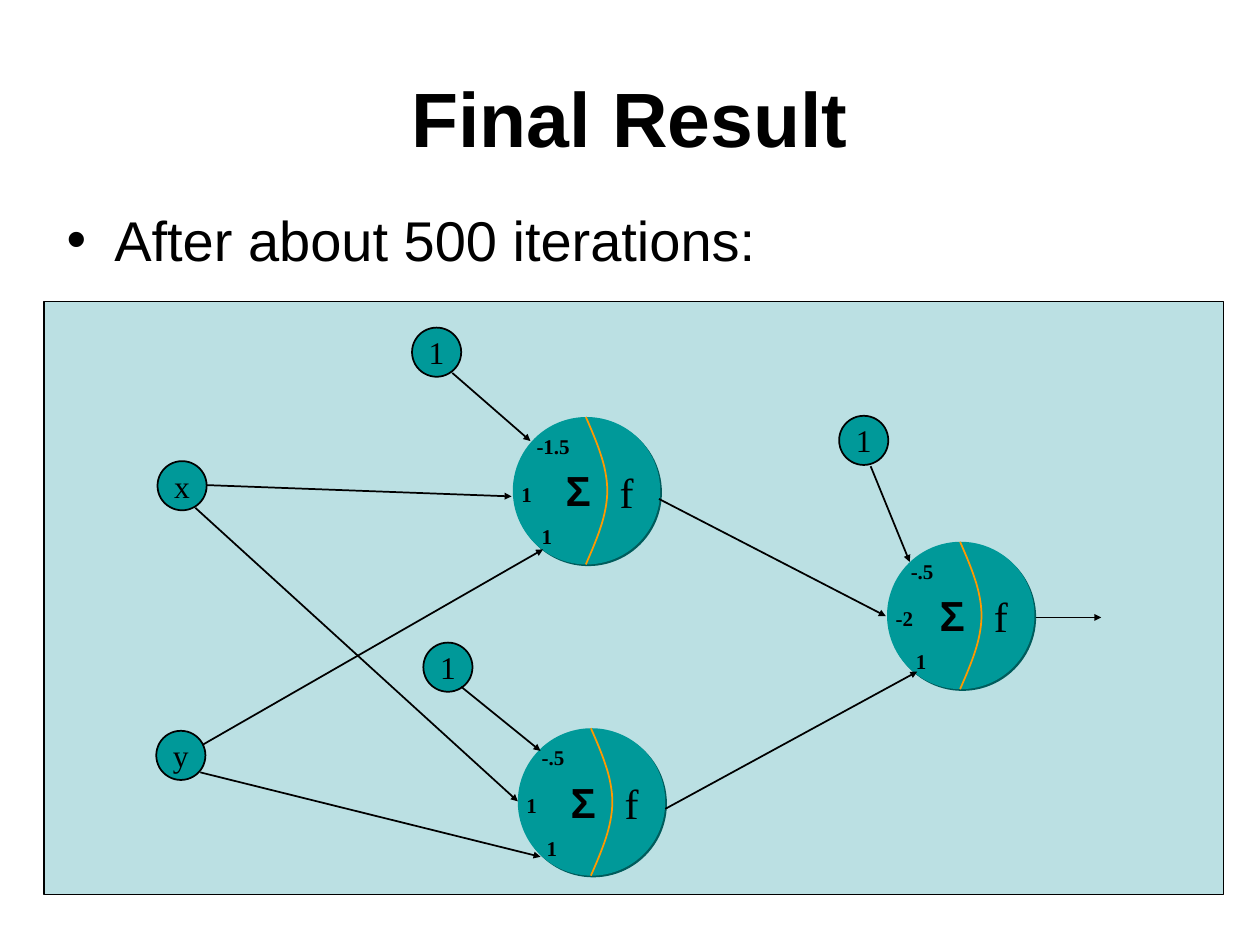
from dataclasses import dataclass

from lxml import etree
from pptx import Presentation
from pptx.dml.color import RGBColor
from pptx.enum.shapes import MSO_CONNECTOR, MSO_SHAPE
from pptx.enum.text import MSO_ANCHOR, MSO_AUTO_SIZE, PP_ALIGN
from pptx.oxml.ns import qn
from pptx.shapes.autoshape import Shape
from pptx.slide import Slide
from pptx.util import Inches, Pt

BLACK = RGBColor(0x00, 0x00, 0x00)
TEAL = RGBColor(0x00, 0x99, 0x99)
SHADOW = RGBColor(0x00, 0x5C, 0x5C)
ORANGE = RGBColor(0xFF, 0x99, 0x00)
PALE_BLUE = RGBColor(0xBB, 0xE0, 0xE3)

RECTANGLE = MSO_SHAPE.RECTANGLE
OVAL = MSO_SHAPE.OVAL
STRAIGHT = MSO_CONNECTOR.STRAIGHT
LEFT, CENTER = PP_ALIGN.LEFT, PP_ALIGN.CENTER
TOP, MIDDLE = MSO_ANCHOR.TOP, MSO_ANCHOR.MIDDLE
FIT_SHAPE = MSO_AUTO_SIZE.SHAPE_TO_FIT_TEXT

TITLE_FONT = {"name": "Arial", "size": Pt(44), "bold": True}
BODY_FONT = {"name": "Arial", "size": Pt(32)}
INPUT_FONT = {"name": "Times New Roman", "size": Pt(18)}
WEIGHT_FONT = {"name": "Times New Roman", "size": Pt(12), "bold": True}
SUM_FONT = {"name": "Arial", "size": Pt(24), "bold": True}
FUNCTION_FONT = {"name": "Times New Roman", "size": Pt(24)}

INPUT_SIZE = 0.39
NEURON_SIZE = 1.17
ARC_DEPTH = 0.17
ARC_STEPS = 16
WEIGHT_WIDTHS = {"1": 0.29, "-2": 0.35, "-.5": 0.39, "-1.5": 0.48}


@dataclass(frozen=True)
class InputNode:
    left: float
    top: float
    text: str


@dataclass(frozen=True)
class Neuron:
    left: float
    top: float
    bias: str
    first_weight: str
    second_weight: str


@dataclass(frozen=True)
class Arrow:
    x1: float
    y1: float
    x2: float
    y2: float


INPUTS = [
    InputNode(1.25, 3.66, "x"),
    InputNode(1.24, 5.8, "y"),
    InputNode(3.27, 2.6, "1"),
    InputNode(3.36, 5.1, "1"),
    InputNode(6.66, 3.3, "1"),
]
NEURONS = [
    Neuron(4.07, 3.31, "-1.5", "1", "1"),
    Neuron(4.11, 5.78, "-.5", "1", "1"),
    Neuron(7.04, 4.3, "-.5", "-2", "1"),
]
ARROWS = [
    Arrow(3.66, 5.45, 4.29, 5.96),
    Arrow(3.59, 2.96, 4.21, 3.5),
    Arrow(1.64, 3.85, 4.06, 3.94),
    Arrow(1.55, 4.03, 4.11, 6.36),
    Arrow(1.61, 5.91, 4.31, 4.36),
    Arrow(1.59, 6.13, 4.29, 6.8),
    Arrow(6.91, 3.7, 7.22, 4.46),
    Arrow(5.23, 3.96, 7.03, 4.89),
    Arrow(5.28, 6.42, 7.28, 5.33),
    Arrow(8.22, 4.9, 8.74, 4.9),
]


def write(shape: Shape, text: str, font: dict, align=LEFT, anchor=TOP, wrap=False) -> None:
    frame = shape.text_frame
    frame.word_wrap = wrap
    frame.vertical_anchor = anchor
    paragraph = frame.paragraphs[0]
    paragraph.alignment = align
    run = paragraph.add_run()
    run.text = text
    for attribute, value in font.items():
        setattr(run.font, attribute, value)
    run.font.color.rgb = BLACK


def add_label(slide: Slide, left: float, top: float, width: float, height: float,
              text: str, font: dict) -> None:
    label = slide.shapes.add_textbox(Inches(left), Inches(top), Inches(width), Inches(height))
    write(label, text, font)
    label.text_frame.auto_size = FIT_SHAPE


def add_filled(slide: Slide, kind, left: float, top: float, width: float, height: float,
               color: RGBColor, line_width: float) -> Shape:
    shape = slide.shapes.add_shape(kind, Inches(left), Inches(top), Inches(width), Inches(height))
    shape.shadow.inherit = False
    shape.fill.solid()
    shape.fill.fore_color.rgb = color
    if line_width:
        shape.line.color.rgb = BLACK
        shape.line.width = Pt(line_width)
    else:
        shape.line.fill.background()
    return shape


def add_input(slide: Slide, node: InputNode) -> None:
    circle = add_filled(slide, OVAL, node.left, node.top, INPUT_SIZE, INPUT_SIZE, TEAL, 1)
    write(circle, node.text, INPUT_FONT, CENTER, MIDDLE)


def add_arc(slide: Slide, left: float, top: float) -> None:
    half = NEURON_SIZE / 2
    points = []
    for step in range(-ARC_STEPS, ARC_STEPS + 1):
        t = 1 - abs(step) / ARC_STEPS
        depth = ARC_DEPTH * (1.5 * t * (1 - t) ** 2 + 3 * t ** 2 * (1 - t) + t ** 3)
        points.append((Inches(left + depth), Inches(top + half + half * step / ARC_STEPS)))
    builder = slide.shapes.build_freeform(*points[0])
    builder.add_line_segments(points[1:], close=False)
    arc = builder.convert_to_shape()
    arc.shadow.inherit = False
    arc.fill.background()
    arc.line.color.rgb = ORANGE
    arc.line.width = Pt(1)


def add_neuron(slide: Slide, neuron: Neuron) -> None:
    x, y = neuron.left, neuron.top
    body = add_filled(slide, OVAL, x, y, NEURON_SIZE, NEURON_SIZE, TEAL, 0)
    effects = body._element.spPr.find(qn("a:effectLst"))
    shadow = etree.SubElement(effects, qn("a:outerShdw"), dist=str(Pt(1.4)),
                              dir="2700000", algn="ctr", rotWithShape="0")
    etree.SubElement(shadow, qn("a:srgbClr"), val=str(SHADOW))
    add_arc(slide, x + 0.58, y)
    add_label(slide, x + 0.75, y + 0.34, 0.31, 0.5, "f", FUNCTION_FONT)
    add_label(slide, x + 0.32, y + 0.33, 0.39, 0.5, "Σ", SUM_FONT)
    weights = [(0.09, 0.08, neuron.bias), (-0.03, 0.46, neuron.first_weight),
               (0.13, 0.8, neuron.second_weight)]
    for dx, dy, weight in weights:
        add_label(slide, x + dx, y + dy, WEIGHT_WIDTHS[weight], 0.3, weight, WEIGHT_FONT)


def add_arrow(slide: Slide, arrow: Arrow) -> None:
    connector = slide.shapes.add_connector(
        STRAIGHT, Inches(arrow.x1), Inches(arrow.y1), Inches(arrow.x2), Inches(arrow.y2))
    connector.line.color.rgb = BLACK
    connector.line.width = Pt(1)
    etree.SubElement(connector.line._get_or_add_ln(), qn("a:tailEnd"),
                     type="triangle", w="sm", len="sm")
    etree.SubElement(connector._element.spPr, qn("a:effectLst"))


def add_headings(slide: Slide) -> None:
    title = slide.shapes.add_textbox(Inches(0.5), Inches(0.3), Inches(9), Inches(1.25))
    write(title, "Final Result", TITLE_FONT, CENTER, MIDDLE, True)
    body = slide.shapes.add_textbox(Inches(0.43), Inches(1.58), Inches(9), Inches(0.7))
    properties = body.text_frame.paragraphs[0]._p.get_or_add_pPr()
    properties.set("marL", str(Inches(0.38)))
    properties.set("indent", str(Inches(-0.38)))
    etree.SubElement(properties, qn("a:buFont"), typeface="Arial")
    etree.SubElement(properties, qn("a:buChar"), char="•")
    write(body, "After about 500 iterations:", BODY_FONT, wrap=True)


def main() -> None:
    presentation = Presentation()
    presentation.slide_width, presentation.slide_height = Inches(10), Inches(7.5)
    slide = presentation.slides.add_slide(presentation.slide_layouts[6])
    add_headings(slide)
    add_filled(slide, RECTANGLE, 0.35, 2.39, 9.36, 4.71, PALE_BLUE, 0.75)
    for node in INPUTS:
        add_input(slide, node)
    for neuron in NEURONS:
        add_neuron(slide, neuron)
    for arrow in ARROWS:
        add_arrow(slide, arrow)
    presentation.save("out.pptx")


if __name__ == "__main__":
    main()
